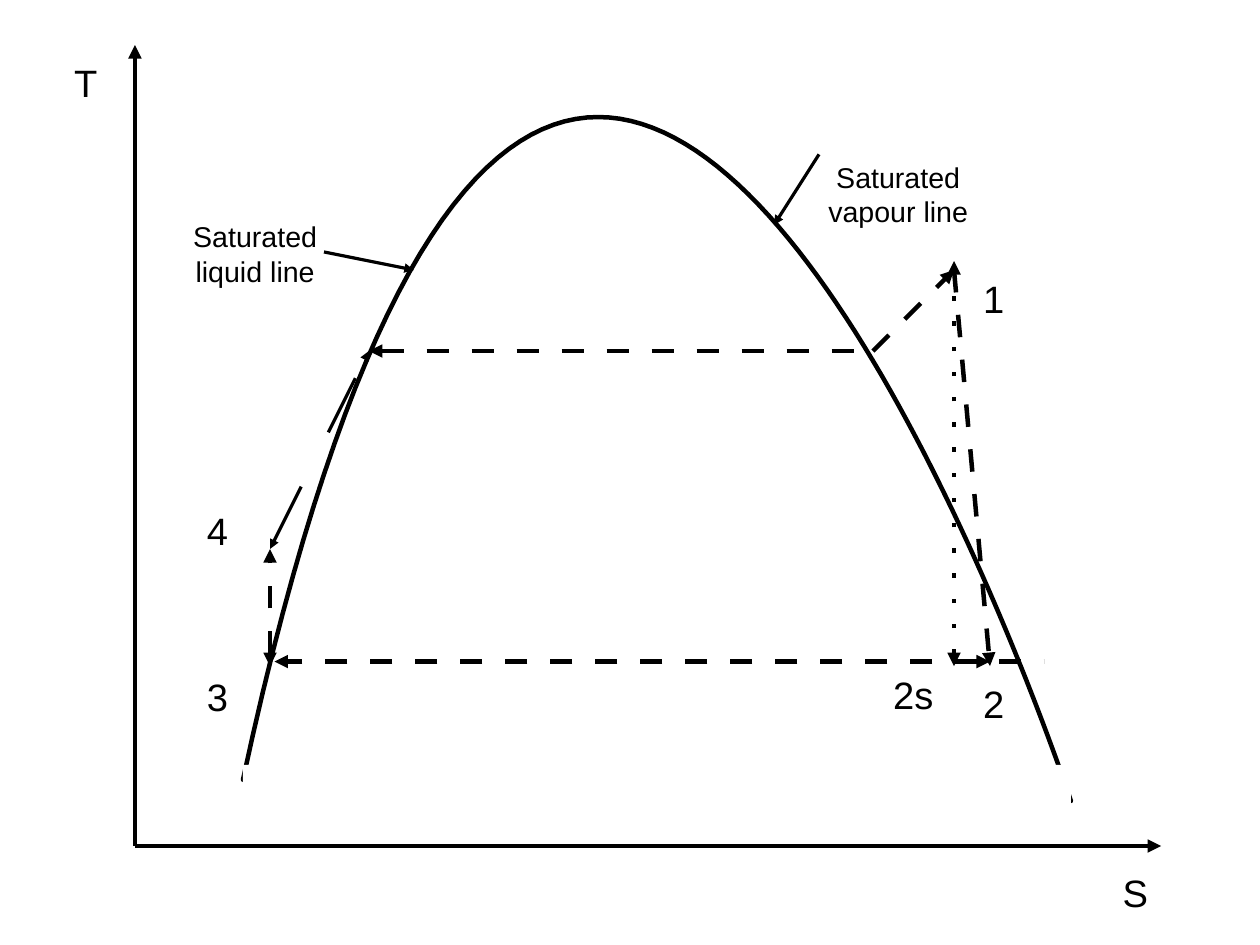
from lxml.etree import SubElement
from pptx import Presentation
from pptx.dml.color import RGBColor
from pptx.enum.shapes import MSO_CONNECTOR, MSO_SHAPE
from pptx.enum.text import MSO_AUTO_SIZE, PP_ALIGN
from pptx.oxml.ns import qn
from pptx.util import Cm, Pt

COLOURS = {"ink": "000000", "paper": "FFFFFF"}
INK = RGBColor.from_string(COLOURS["ink"])
PAPER = RGBColor.from_string(COLOURS["paper"])
THICK, HAIRLINE = Pt(2.83), Pt(0)
# Dash and gap lengths in percent of the line width
DASHED, DOTTED, HAIR_DASHED = (500, 500), (100, 460), (1900, 1900)


def add_line(start, end, width=THICK, dash=None, arrows=""):
    """Draw a line; arrows names its arrowhead ends: "head", "tail" or both."""
    line = page.shapes.add_connector(
        MSO_CONNECTOR.STRAIGHT, *map(Cm, start), *map(Cm, end))
    SubElement(line._element.spPr, qn("a:effectLst"))
    line.line.width = width
    line.line.color.rgb = INK
    outline = line.line._get_or_add_ln()
    if dash:
        pattern = SubElement(outline, qn("a:custDash"))
        SubElement(pattern, qn("a:ds"),
                   d=str(dash[0] * 1000), sp=str(dash[1] * 1000))
    for arrow in arrows.split():
        SubElement(outline, qn(f"a:{arrow}End"), type="triangle")


def add_label(text, left, top, width=0.97, height=1.2, size=24,
              align=PP_ALIGN.LEFT, wrap=False):
    box = page.shapes.add_textbox(Cm(left), Cm(top), Cm(width), Cm(height))
    frame = box.text_frame
    frame.word_wrap = wrap
    frame.auto_size = MSO_AUTO_SIZE.SHAPE_TO_FIT_TEXT
    para = frame.paragraphs[0]
    para.alignment = align
    span = para.add_run()
    span.text = text
    span.font.name = "Arial"
    span.font.size = Pt(size)
    span.font.color.rgb = INK


deck = Presentation()
deck.slide_width, deck.slide_height = Cm(28), Cm(21)
page = deck.slides.add_slide(deck.slide_layouts[6])

# Axes
origin = (3, 18.8)
add_line((3, 1), origin, arrows="head")
add_line(origin, (25.8, 18.8), arrows="tail")

# Saturation dome: points along a cubic curve
controls = [(5.4, 17.33), (12.6, -16.08), (23.8, 17.8), (23.8, 17.8)]
STEPS = 100
dome_points = []
for step in range(STEPS + 1):
    t = step / STEPS
    weights = ((1 - t) ** 3, 3 * t * (1 - t) ** 2, 3 * t ** 2 * (1 - t), t ** 3)
    dome_points.append(tuple(
        Cm(sum(weight * point[axis] for weight, point in zip(weights, controls)))
        for axis in (0, 1)))
builder = page.shapes.build_freeform(*dome_points[0])
builder.add_line_segments(dome_points[1:], close=True)
dome = builder.convert_to_shape()
dome.line.color.rgb = INK
dome.line.width = THICK

# Band that hides the base of the dome
base_cover = page.shapes.add_shape(
    MSO_SHAPE.RECTANGLE, Cm(5.4), Cm(17), Cm(18.4), Cm(1))
base_cover.line.fill.background()
for shape in (dome, base_cover):
    shape.shadow.inherit = False
    shape.fill.solid()
    shape.fill.fore_color.rgb = PAPER

# Cycle
pump_outlet, boiling, saturated_vapour = (6, 12.2), (8.2, 7.8), (19.4, 7.8)
turbine_inlet, turbine_outlet = (21.2, 6), (22, 14.8)
add_line((22, 14.7), (6.1, 14.7), dash=DASHED, arrows="head tail")
add_line((6, 14.8), pump_outlet, dash=DASHED, arrows="head tail")
add_line(pump_outlet, boiling, HAIRLINE, HAIR_DASHED, "head tail")
add_line(boiling, saturated_vapour, dash=DASHED, arrows="head")
add_line((21.2, 14.8), (21.2, 5.8), dash=DOTTED, arrows="head tail")
add_line(saturated_vapour, turbine_inlet, dash=DASHED, arrows="tail")
add_line(turbine_inlet, turbine_outlet, dash=DASHED, arrows="tail")
add_line((21.2, 14.7), (23.2, 14.7), dash=DASHED)

# Axis and state labels
add_label("T", 1.4, 1.2, width=1.02)
add_label("S", 24.7, 19.2, width=1.4, wrap=True)
add_label("2s", 19.6, 14.8, width=1.4)
for state, left, top in [("1", 21.6, 6), ("2", 21.6, 15),
                         ("3", 4.35, 14.83), ("4", 4.35, 11.15)]:
    add_label(state, left, top)

# Saturation lines with their leaders
for text, left, top, start, end in [
    ("Saturated liquid line", 3.64, 4.75, (7.2, 5.6), (9.2, 6)),
    ("Saturated vapour line", 17.93, 3.43, (18.2, 3.43), (17.2, 5)),
]:
    add_label(text, left, top, width=4.06, height=1.68, size=18,
              align=PP_ALIGN.CENTER, wrap=True)
    add_line(start, end, HAIRLINE, arrows="tail")

deck.save("out.pptx")
